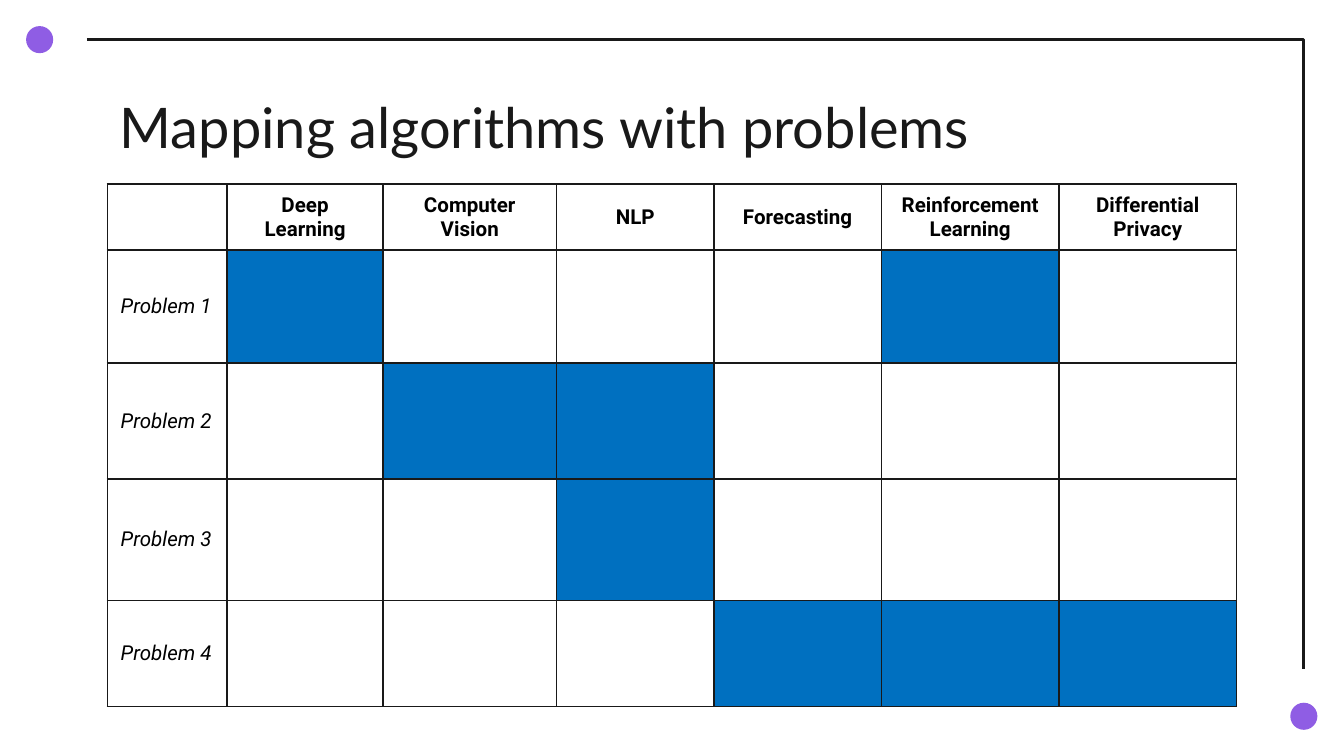
from lxml import etree
from pptx import Presentation
from pptx import util as u
from pptx.dml import color
from pptx.enum import shapes, text
from pptx.oxml import ns

INK, PURPLE, BLUE, BLACK = "191919", "8F5DE4", "0070C0", "000000"

ALGORITHMS = ["Deep Learning", "Computer Vision", "NLP", "Forecasting",
              "Reinforcement Learning", "Differential Privacy"]
# Columns of the algorithms that suit each problem
MATCHES = {
    "Problem 1": {1, 5},
    "Problem 2": {2, 3},
    "Problem 3": {3},
    "Problem 4": {4, 5, 6},
}
COLUMN_WIDTHS = [64.25, 83.5, 93, 84.25, 89.75, 95.25, 95]
ROW_HEIGHTS = [35.5, 60.5, 62.25, 65, 56.75]


def rgb(value):
    return color.RGBColor.from_string(value)


class SlideBuilder:
    title_font = "Lato"
    table_font = "Roboto"

    def __init__(self, slide):
        self.slide = slide

    def format_text(self, frame, font, size, ink, bold=False, italic=False,
                    align=text.PP_ALIGN.LEFT):
        for para in frame.paragraphs:
            para.alignment = align
            for span in para.runs:
                span.font.name, span.font.size = font, u.Pt(size)
                span.font.bold, span.font.italic = bold, italic
                span.font.color.rgb = rgb(ink)

    def title(self, words, left, top, width, height):
        box = self.slide.shapes.title
        box.left, box.top = u.Pt(left), u.Pt(top)
        box.width, box.height = u.Pt(width), u.Pt(height)
        frame = box.text_frame
        frame.text = words
        frame.word_wrap = True
        frame.auto_size = text.MSO_AUTO_SIZE.NONE
        frame.vertical_anchor = text.MSO_ANCHOR.TOP
        frame.margin_left = frame.margin_right = u.Pt(7.2)
        frame.margin_top = frame.margin_bottom = u.Pt(7.2)
        self.format_text(frame, self.title_font, 30, INK)

    def outline(self, points, width):
        start, *rest = [(u.Pt(x), u.Pt(y)) for x, y in points]
        builder = self.slide.shapes.build_freeform(*start)
        builder.add_line_segments(rest, close=False)
        shape = builder.convert_to_shape()
        shape.shadow.inherit = False
        shape.fill.background()
        shape.line.color.rgb = rgb(INK)
        shape.line.width = u.Pt(width)

    def dot(self, center_x, center_y, size):
        shape = self.slide.shapes.add_shape(
            shapes.MSO_SHAPE.OVAL, u.Pt(center_x - size / 2),
            u.Pt(center_y - size / 2), u.Pt(size), u.Pt(size))
        shape.shadow.inherit = False
        shape.fill.solid()
        shape.fill.fore_color.rgb = rgb(PURPLE)
        shape.line.fill.background()

    def border(self, cell, width):
        properties = cell._tc.get_or_add_tcPr()
        for position, side in enumerate(("lnL", "lnR", "lnT", "lnB")):
            line = etree.Element(ns.qn(f"a:{side}"), w=str(u.Pt(width)))
            fill = etree.SubElement(line, ns.qn("a:solidFill"))
            etree.SubElement(fill, ns.qn("a:srgbClr"), val=INK)
            properties.insert(position, line)

    def matrix(self, left, top, widths, heights, headings, matches):
        table = self.slide.shapes.add_table(
            len(heights), len(widths), u.Pt(left), u.Pt(top),
            u.Pt(sum(widths)), u.Pt(sum(heights))).table
        table.first_row = table.horz_banding = False
        for column, width in zip(table.columns, widths):
            column.width = u.Pt(width)
        for row, height in zip(table.rows, heights):
            row.height = u.Pt(height)

        # Plain bordered grid
        for cell in table.iter_cells():
            cell.fill.background()
            cell.vertical_anchor = text.MSO_ANCHOR.MIDDLE
            self.border(cell, 1)

        # Algorithm headings
        for index, heading in enumerate(headings, 1):
            frame = table.cell(0, index).text_frame
            frame.text = heading
            self.format_text(frame, self.table_font, 11, BLACK, bold=True,
                             align=text.PP_ALIGN.CENTER)

        # Problem labels and their matching algorithms
        for index, (problem, columns) in enumerate(matches.items(), 1):
            frame = table.cell(index, 0).text_frame
            frame.text = problem
            self.format_text(frame, self.table_font, 11, BLACK, italic=True)
            for column in columns:
                cell = table.cell(index, column)
                cell.fill.solid()
                cell.fill.fore_color.rgb = rgb(BLUE)


def main():
    deck = Presentation()
    deck.slide_width, deck.slide_height = u.Pt(720), u.Pt(405)
    page = SlideBuilder(deck.slides.add_slide(deck.slide_layouts[5]))

    # Corner frame and dots
    page.outline([(46.5, 21.25), (698.5, 21.25), (698.5, 358.5)], 1.5)
    page.dot(21.25, 21.25, 14.5)
    page.dot(698.5, 383.75, 14.5)

    # Title and matrix
    page.title("Mapping algorithms with problems", 57, 42.5, 607, 45.5)
    page.matrix(57.5, 98.5, COLUMN_WIDTHS, ROW_HEIGHTS, ALGORITHMS, MATCHES)

    deck.save("out.pptx")


if __name__ == "__main__":
    main()
